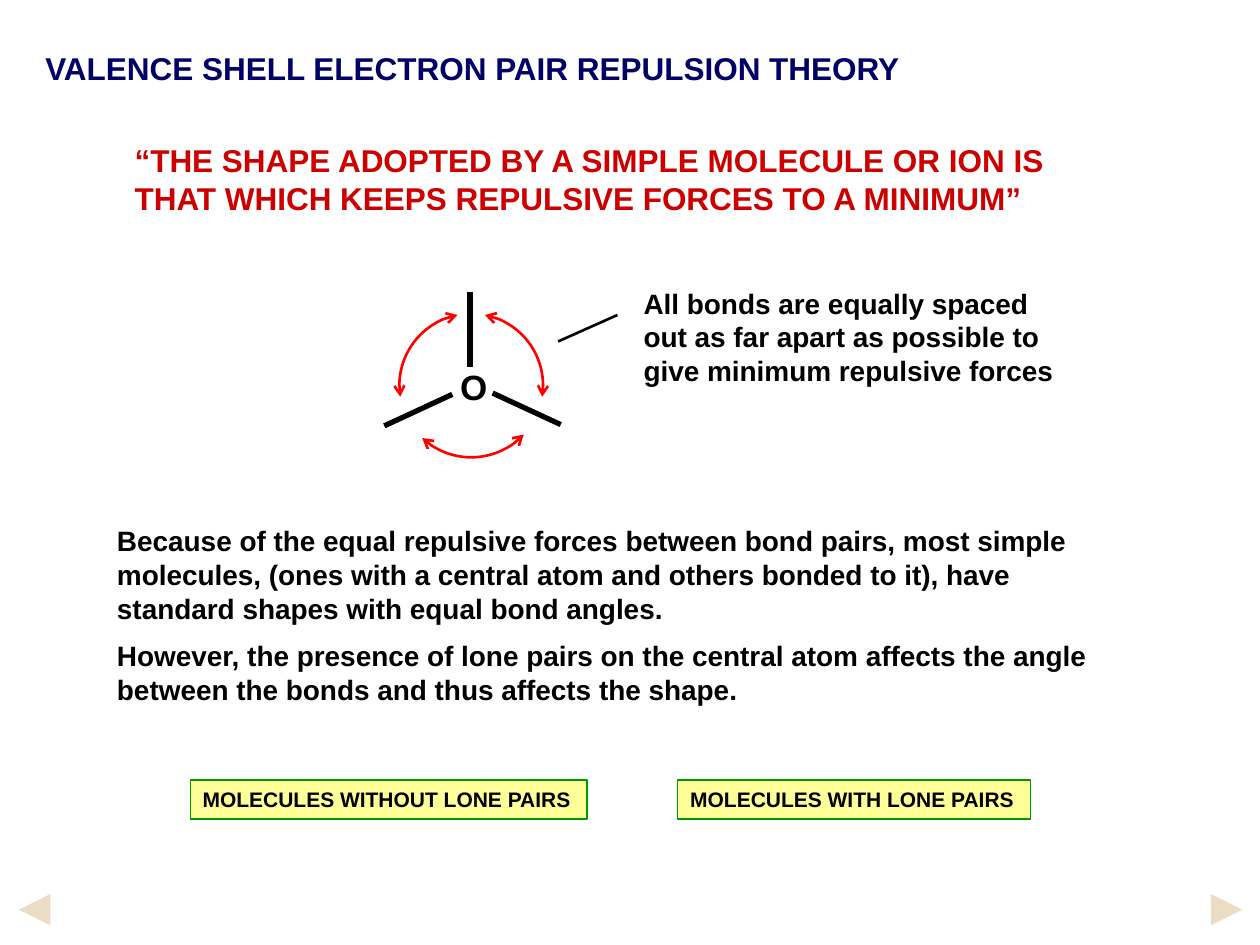
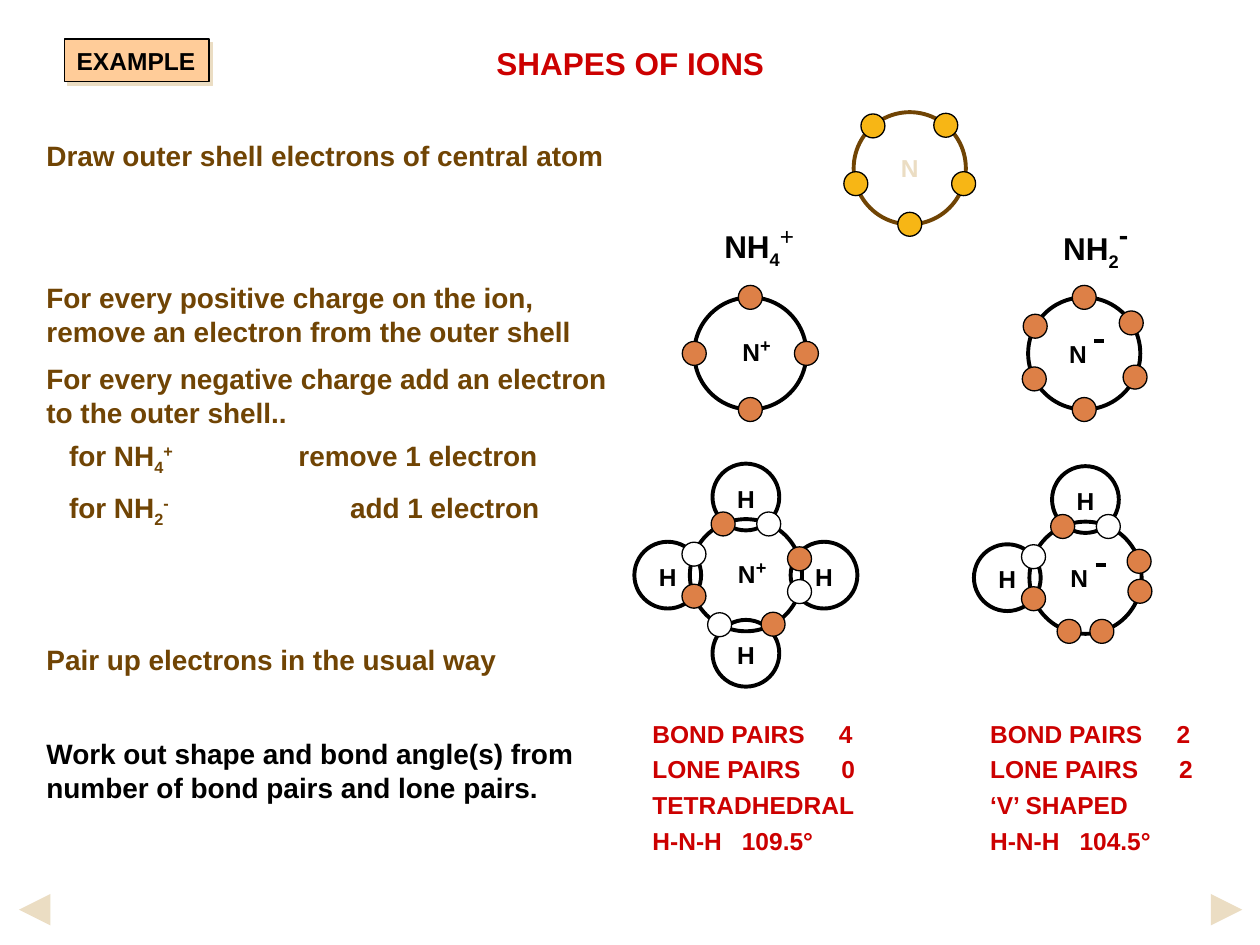
from math import cos, radians, sin

from lxml.etree import SubElement
from pptx import Presentation
from pptx.dml.color import RGBColor
from pptx.enum.shapes import MSO_CONNECTOR, MSO_SHAPE
from pptx.enum.text import MSO_ANCHOR, MSO_AUTO_SIZE, PP_ALIGN
from pptx.oxml.ns import qn
from pptx.util import Emu, Inches, Pt

# Every place and length is counted in cells of a 100 x 75 grid.
COLS, ROWS = 100, 75
CELL = Inches(10) / COLS

FONT = "Arial"
BLACK, WHITE, RED = "000000", "FFFFFF", "CC0000"
NAVY, BROWN, SAND = "000066", "704404", "EBDDC3"
ORANGE, GOLD, ARC_RED = "DD8047", "F7B615", "FF0000"
BUTTON_FILL, BUTTON_EDGE, TAG_FILL = "FFFF99", "009900", "FFCC99"

RING, HYDROGEN, ELECTRON = 4.45, 2.65, 0.95   # radii
ORBIT, BOND = 4.45, 6.2                       # distances from the nucleus


def rgb(colour):
    return RGBColor.from_string(colour)


def cells(*values):
    return [Emu(round(v * CELL)) for v in values]


def polar(cx, cy, radius, degrees):
    """Point at an angle measured clockwise from the right."""
    return cx + radius * cos(radians(degrees)), cy + radius * sin(radians(degrees))


def write(tf, paragraphs, size, colour=BLACK, gaps=(), tabs=(),
          anchor=MSO_ANCHOR.TOP, align=PP_ALIGN.LEFT):
    """A paragraph is a string or a list of strings and (text, baseline %, size).

    gaps holds the points before the second and later paragraphs,
    tabs the tab stops of each paragraph in cells.
    """
    tf.word_wrap = True
    tf.auto_size = MSO_AUTO_SIZE.NONE
    tf.vertical_anchor = anchor
    for i, pieces in enumerate(paragraphs):
        p = tf.paragraphs[0] if i == 0 else tf.add_paragraph()
        p.alignment = align
        p.line_spacing = Pt(size * 1.2)
        p.space_before = Pt(gaps[i - 1] if i else 0)
        if tabs and tabs[i]:
            stops = SubElement(p._p.get_or_add_pPr(), qn("a:tabLst"))
            for pos in cells(*tabs[i]):
                SubElement(stops, qn("a:tab"), pos=str(pos), algn="l")
        for piece in [pieces] if isinstance(pieces, str) else pieces:
            text, base, points = (piece, 0, size) if isinstance(piece, str) else piece
            r = p.add_run()
            r.text = text
            r.font.name, r.font.size, r.font.bold = FONT, Pt(points), True
            r.font.color.rgb = rgb(colour)
            if base:
                r._r.get_or_add_rPr().set("baseline", str(base * 1000))


def add_text(slide, box, paragraphs, size, colour=BLACK, **options):
    tf = slide.shapes.add_textbox(*cells(*box)).text_frame
    write(tf, paragraphs, size, colour, **options)
    return tf


def add_label(slide, cx, cy, pieces, size=14, colour=BLACK):
    """Text centred on a point."""
    tf = add_text(slide, (cx - 3, cy - 1.65, 6, 3.3), [pieces], size, colour,
                  anchor=MSO_ANCHOR.MIDDLE, align=PP_ALIGN.CENTER)
    tf.margin_left = tf.margin_right = tf.margin_top = tf.margin_bottom = 0


def add_form(slide, kind, box, fill, line, width):
    sp = slide.shapes.add_shape(kind, *cells(*box))
    sp.shadow.inherit = False
    if fill:
        sp.fill.solid()
        sp.fill.fore_color.rgb = rgb(fill)
    else:
        sp.fill.background()
    sp.line.color.rgb = rgb(line)
    sp.line.width = Pt(width)
    return sp


def add_circle(slide, cx, cy, radius, fill=None, line=BLACK, width=2.25):
    box = (cx - radius, cy - radius, 2 * radius, 2 * radius)
    return add_form(slide, MSO_SHAPE.OVAL, box, fill, line, width)


def add_button(slide, box, text, size, fill, edge):
    sp = add_form(slide, MSO_SHAPE.RECTANGLE, box, fill, edge, 0.75)
    write(sp.text_frame, [text], size, anchor=MSO_ANCHOR.MIDDLE)
    return sp


def set_arrowheads(sp, kind, *ends):
    ln = sp.element.spPr.find(qn("a:ln"))
    for end in ends:
        SubElement(ln, qn(f"a:{end}"), type=kind)


def add_line(slide, x1, y1, x2, y2, width, colour=BLACK):
    line = slide.shapes.add_connector(MSO_CONNECTOR.STRAIGHT, *cells(x1, y1, x2, y2))
    line.line.color.rgb = rgb(colour)
    line.line.width = Pt(width)
    SubElement(line.element.spPr, qn("a:effectLst"))
    return line


def new_slide(prs, title, box, colour, anchor=MSO_ANCHOR.TOP):
    """Title-only slide with the two page arrows at its foot."""
    slide = prs.slides.add_slide(prs.slide_layouts[5])
    holder = slide.shapes.title
    holder.left, holder.top, holder.width, holder.height = cells(*box)
    write(holder.text_frame, [title], 18, colour, anchor=anchor)
    foot = ROWS - 2.8
    for start, tip in ((96.5, 98.6), (3.6, 1.5)):
        arrow = add_line(slide, start, foot, tip, foot, 6, SAND)
        set_arrowheads(arrow, "triangle", "tailEnd")
    return slide


def bond_diagram(slide, cx, cy):
    """Three bonds around an oxygen atom, pushed apart by double arrows."""
    add_label(slide, cx + 0.2, cy + 0.1, "O", 20)
    for x1, y1, x2, y2 in ((-0.1, -7.4, -0.1, -1.5), (-1.5, 0.7, -6.9, 3.2),
                           (1.7, 0.6, 7.1, 3.1)):
        add_line(slide, cx + x1, cy + y1, cx + x2, cy + y2, 3)
    radius = 5.7
    box = (cx - radius, cy - radius, 2 * radius, 2 * radius)
    for start, end in ((171, 259), (281, 9), (43, 133)):
        arc = add_form(slide, MSO_SHAPE.ARC, box, None, ARC_RED, 1.5)
        arc.adjustments[0] = start * 0.6
        arc.adjustments[1] = end * 0.6
        set_arrowheads(arc, "arrow", "headEnd", "tailEnd")


def atom(slide, cx, cy, symbol, electrons, hydrogens=(), shared=(), shift=0.0,
         ring=BLACK, dot=ORANGE, ink=BLACK, minus=None):
    """Atom with its outer electrons; all directions are angles in degrees.

    shared lists the electrons of the hydrogens, shift moves the symbol
    sideways, and minus is the height of the charge above the centre.
    """
    add_circle(slide, cx, cy, RING, line=ring)
    add_label(slide, cx + shift, cy, symbol, colour=ink)
    if minus:
        add_line(slide, cx + 0.8, cy - minus, cx + 1.6, cy - minus, 2.25)
    for angle in hydrogens:
        hx, hy = polar(cx, cy, BOND, angle)
        add_circle(slide, hx, hy, HYDROGEN)
        add_label(slide, hx, hy + 0.1, "H")
    for angles, fill in ((electrons, dot), (shared, WHITE)):
        for angle in angles:
            add_circle(slide, *polar(cx, cy, ORBIT, angle), ELECTRON, fill, BLACK, 0.75)


def ion_column(slide, left, formula, formula_box, first, paired, results, tabs):
    """Formula, lone ion, ion with its hydrogens and the result list."""
    x, y, w, h = formula_box
    add_text(slide, (left + x, y, w, h), [formula], 18, anchor=MSO_ANCHOR.MIDDLE)
    for cx, cy, options in (first, paired):
        atom(slide, left + cx, cy, **options)
    add_text(slide, (left, 56.2, 19, 12.5), results, 14, RED, gaps=(3.6,) * 3,
             tabs=tabs, anchor=MSO_ANCHOR.MIDDLE)


def theory_slide(prs):
    slide = new_slide(prs, "VALENCE SHELL ELECTRON PAIR REPULSION THEORY",
                      (2.6, 3.4, 95, 5), NAVY)
    add_text(slide, (9.7, 10.7, 80.7, 9.5),
             ["“THE SHAPE ADOPTED BY A SIMPLE MOLECULE OR ION IS THAT WHICH KEEPS "
              "REPULSIVE FORCES TO A MINIMUM”"], 18, RED)
    bond_diagram(slide, 37.4, 30.6)
    add_text(slide, (50.1, 22.2, 35.3, 9),
             ["All bonds are equally spaced out as far apart as possible to give "
              "minimum repulsive forces"], 16, anchor=MSO_ANCHOR.MIDDLE)
    add_line(slide, 44.3, 27.1, 49, 25, 1.5)
    add_text(slide, (8.3, 41.1, 82.5, 15.7),
             ["Because of the equal repulsive forces between bond pairs, most simple "
              "molecules, (ones with a central atom and others bonded to it), have "
              "standard shapes with equal bond angles.",
              "However, the presence of lone pairs on the central atom affects the "
              "angle between the bonds and thus affects the shape."], 16, gaps=(8,))
    for left, width, text in ((15.1, 31.5, "MOLECULES WITHOUT LONE PAIRS"),
                              (53.8, 28, "MOLECULES WITH LONE PAIRS")):
        add_button(slide, (left, 61.9, width, 3.1), text, 12, BUTTON_FILL, BUTTON_EDGE)


def method_text(slide, box):
    steps = [
        "Draw outer shell electrons of central atom",
        "For every positive charge on the ion, remove an electron from the outer shell",
        "For every negative charge add an electron to the outer shell..",
        ["\tfor NH", ("4", -25, 16), ("+", 30, 16), "\tremove 1 electron"],
        ["\tfor NH", ("2", -25, 16), ("-", 30, 16), "\tadd 1 electron"],
        "Pair up electrons in the usual way",
        "Work out shape and bond angle(s) from number of bond pairs and lone pairs.",
    ]
    tabs = ((), (), (), (1.8, 20), (1.8, 24.1), (), ())
    tf = add_text(slide, box, steps, 16, BROWN, gaps=(62, 8, 8, 10.5, 65, 35), tabs=tabs)
    for r in tf.paragraphs[-1].runs:
        r.font.color.rgb = rgb(BLACK)


def example_tag(slide, box):
    tag = add_button(slide, box, "EXAMPLE", 14, TAG_FILL, BLACK)
    effects = tag.element.spPr.find(qn("a:effectLst"))
    shadow = SubElement(effects, qn("a:outerShdw"), dist=str(Pt(2.8)), dir="2700000",
                        algn="ctr", rotWithShape="0")
    SubElement(shadow, qn("a:srgbClr"), val=SAND)


def ions_slide(prs):
    slide = new_slide(prs, "SHAPES OF IONS", (38.4, 3, 25, 4), RED, MSO_ANCHOR.MIDDLE)
    example_tag(slide, (5.1, 3.1, 11.5, 3.4))
    method_text(slide, (2.7, 10.5, 48.1, 56.2))
    atom(slide, 72.2, 13.35, "N", (16, 90, 164, 229, 310), ring=BROWN, dot=GOLD, ink=SAND)

    cation = dict(symbol=["N", ("+", 30, 18)], shift=0.5)
    ion_column(
        slide, 50.8, ["NH", ("4", -25, 18), ("+", 30, 24)], (5.7, 17.9, 10, 4),
        (8.75, 28.05, dict(cation, electrons=range(0, 360, 90))),
        (8.4, 45.65, dict(cation, electrons=(343, 246, 61, 158),
                          shared=(17, 294, 118, 202), hydrogens=range(0, 360, 90))),
        ["BOND PAIRS\t4", "LONE PAIRS\t0", "TETRADHEDRAL", "H-N-H\t109.5°"],
        ((14.8,), (15,), (), (7.1,)))
    slide.shapes[-1].text_frame.word_wrap = True

    anion = dict(symbol="N", shift=-0.5)
    ion_column(
        slide, 77.6, ["NH", ("2", -25, 18), ("-", 30, 28)], (5.8, 18, 10, 4.2),
        (8.45, 28.05, dict(anion, electrons=(25, 90, 153, 209, 270, 327), minus=1)),
        (8.55, 45.85, dict(anion, electrons=(343, 14, 246, 73, 107, 158),
                           shared=(294, 202), hydrogens=(180, 270), minus=1)),
        ["BOND PAIRS\t2", "LONE PAIRS\t2", "‘V’ SHAPED", "H-N-H\t104.5°"],
        ((14.8,), (15,), (), (7.1,)))

    plus = next(r for sp in slide.shapes if sp.has_text_frame
                for r in sp.text_frame.paragraphs[0].runs if r.font.size == Pt(24))
    plus.font.bold = False


def main():
    prs = Presentation()
    prs.slide_width, prs.slide_height = cells(COLS, ROWS)
    theory_slide(prs)
    ions_slide(prs)
    prs.save("out.pptx")


if __name__ == "__main__":
    main()
